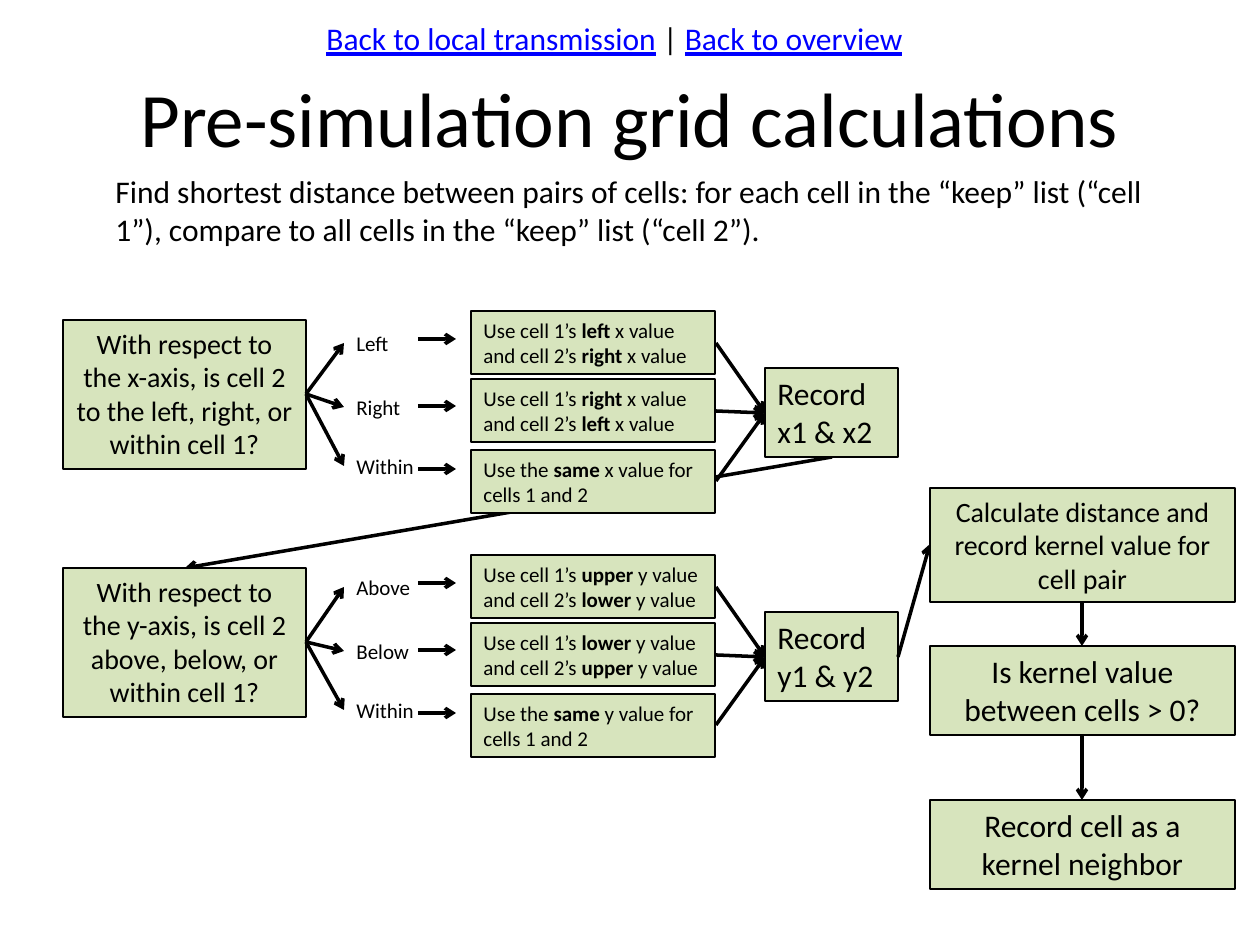
from pptx import Presentation
from pptx.dml.color import RGBColor
from pptx.enum.shapes import MSO_CONNECTOR as Line, MSO_SHAPE as Shape
from pptx.enum.text import MSO_ANCHOR as Anchor, MSO_AUTO_SIZE as Fit, PP_ALIGN as Align
from pptx.oxml.ns import qn
from pptx.util import Emu, Pt
from lxml.etree import SubElement

BLACK = RGBColor(0x00, 0x00, 0x00)
BLUE = RGBColor(0x00, 0x00, 0xFF)
GREEN = RGBColor(0xD7, 0xE4, 0xBD)
FONT = "Calibri"
SCALE = 914400 / 126


def px(length):
    return Emu(round(length * SCALE))


class FlowSlide:
    """Draws the boxes, labels and arrows of a flow chart on one slide."""

    def __init__(self, slide):
        self.slide = slide

    def fill_text(self, shape, runs, size, align=Align.LEFT, anchor=Anchor.TOP, fit=Fit.SHAPE_TO_FIT_TEXT):
        frame = shape.text_frame
        frame.word_wrap = True
        frame.auto_size = fit
        frame.vertical_anchor = anchor
        paragraph = frame.paragraphs[0]
        paragraph.alignment = align
        for words, style in runs:
            run = paragraph.add_run()
            run.text = words
            run.font.name = FONT
            run.font.size = Pt(size)
            run.font.bold = style == "bold"
            run.font.underline = style == "link"
            run.font.color.rgb = BLUE if style == "link" else BLACK

    def text(self, area, runs, size, **layout):
        self.fill_text(self.slide.shapes.add_textbox(*map(px, area)), runs, size, **layout)

    def box(self, area, runs, size, align=Align.CENTER):
        box = self.slide.shapes.add_shape(Shape.RECTANGLE, *map(px, area))
        box.shadow.inherit = False
        box.fill.solid()
        box.fill.fore_color.rgb = GREEN
        box.line.color.rgb = BLACK
        box.line.width = Pt(0.75)
        self.fill_text(box, runs, size, align)

    def arrow(self, start, end):
        arrow = self.slide.shapes.add_connector(Line.STRAIGHT, *map(px, (*start, *end)))
        arrow.line.color.rgb = BLACK
        arrow.line.width = Pt(2)
        properties = arrow._element.spPr
        SubElement(properties.find(qn("a:ln")), qn("a:tailEnd"), type="arrow")
        SubElement(properties, qn("a:effectLst"))


def plain(words):
    return [(words, "plain")]


def emphasised(*parts):
    return [(words, "bold" if i % 2 else "plain") for i, words in enumerate(parts)]


deck = Presentation()
deck.slide_width, deck.slide_height = px(1260), px(945)
flow = FlowSlide(deck.slides.add_slide(deck.slide_layouts[6]))

flow.arrow((832, 457), (185, 568))
flow.text((63, 38, 1134, 157), plain("Pre-simulation grid calculations"), 44,
          align=Align.CENTER, anchor=Anchor.MIDDLE, fit=Fit.NONE)
flow.text((103, 166, 1063, 89), plain(
    "Find shortest distance between pairs of cells: for each cell in the “keep” list (“cell 1”), "
    "compare to all cells in the “keep” list (“cell 2”)."), 18)
flow.text((92, 13, 1045, 50), [("Back to local transmission", "link"), (" | ", "plain"),
                               ("Back to overview", "link")], 18, align=Align.CENTER)

AXES = [
    ("x", 0, 320, "to the left, right, or", ("Left", "Right", "Within"), ("left", "right")),
    ("y", 244, 568, "above, below, or", ("Above", "Below", "Within"), ("upper", "lower")),
]
ROWS = [
    {"label": 324, "fan": 343, "step": 339, "answer": 311, "merge": 343},
    {"label": 388, "fan": 407, "step": 406, "answer": 379, "merge": 411},
    {"label": 447, "fan": 466, "step": 469, "answer": 450, "merge": 481},
]

for axis, drop, question_top, choices, labels, (first, second) in AXES:
    flow.box((63, question_top, 243, 149), plain(
        f"With respect to the {axis}-axis, is cell 2 {choices} within cell 1?"), 16)
    answers = [emphasised("Use cell 1’s ", one, f" {axis} value and cell 2’s ", two, f" {axis} value")
               for one, two in ((first, second), (second, first))]
    answers.append(emphasised("Use the ", "same", f" {axis} value for cells 1 and 2"))
    for row, label, answer in zip(ROWS, labels, answers):
        top = {part: y + drop for part, y in row.items()}
        flow.arrow((306, question_top + 74), (344, top["fan"]))
        flow.text((344, top["label"], 116, 38), plain(label), 12)
        flow.arrow((418, top["step"]), (456, top["step"]))
        flow.box((471, top["answer"], 244, 63), answer, 12, Align.LEFT)
        flow.arrow((716, top["merge"]), (765, 413 + drop))
    flow.box((765, 368 + drop, 133, 89), plain(f"Record {axis}1 & {axis}2"), 18, Align.LEFT)

flow.arrow((898, 657), (930, 544))
OUTCOMES = [
    (488, 114, "Calculate distance and record kernel value for cell pair", 16),
    (646, 89, "Is kernel value between cells > 0?", 18),
    (800, 89, "Record cell as a kernel neighbor", 18),
]
for top, height, words, size in OUTCOMES:
    flow.box((930, top, 305, height), plain(words), size)
for (top, height, *_), (next_top, *_) in zip(OUTCOMES, OUTCOMES[1:]):
    flow.arrow((1082, top + height), (1082, next_top))

deck.save("out.pptx")
